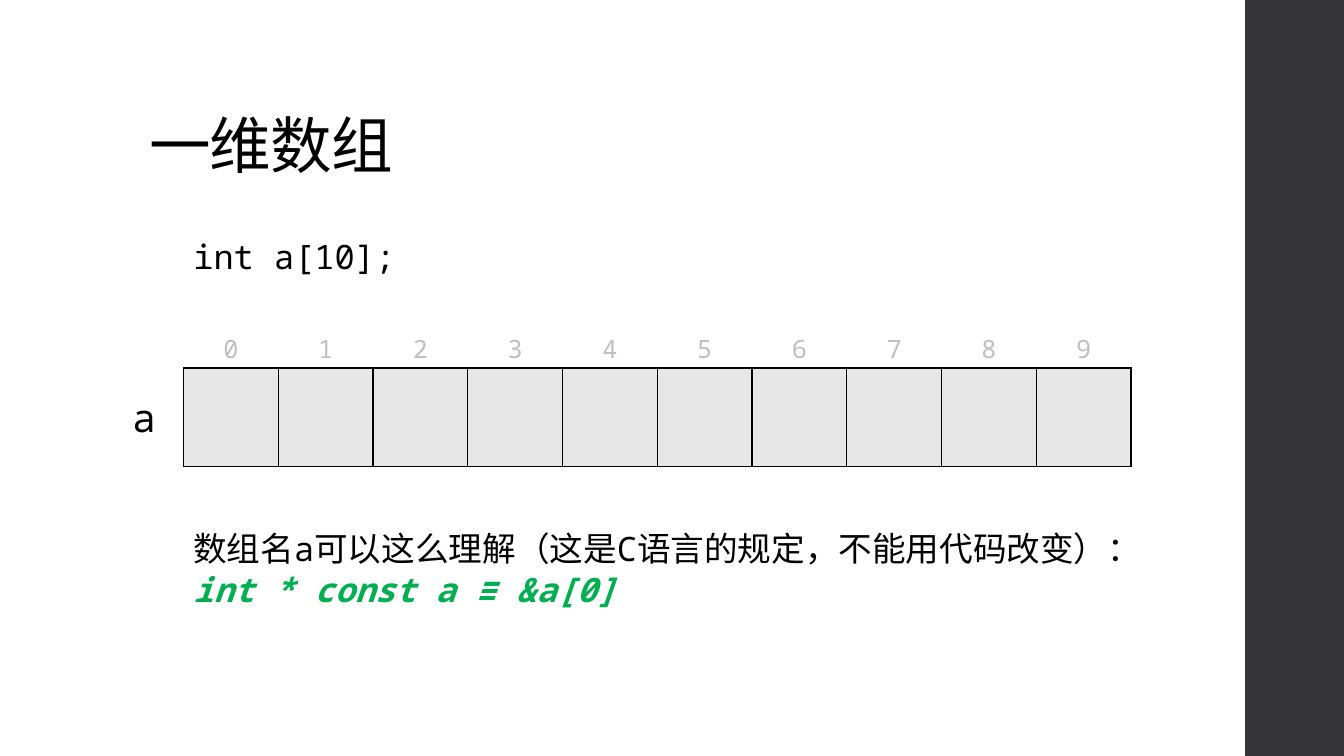
from lxml.etree import SubElement
from pptx import Presentation
from pptx.dml.color import RGBColor
from pptx.enum.shapes import MSO_SHAPE
from pptx.enum.text import MSO_ANCHOR, PP_ALIGN
from pptx.oxml.ns import qn
from pptx.util import Inches, Pt

BLACK = RGBColor(0x00, 0x00, 0x00)
GREEN = RGBColor(0x00, 0xB0, 0x50)
INDEX_GRAY = RGBColor(0xBF, 0xBF, 0xBF)
CELL_GRAY = RGBColor(0xE7, 0xE7, 0xE7)
BAND_GRAY = RGBColor(0x35, 0x35, 0x37)
TITLE_FONT = "TeX Gyre Schola"
CODE_FONT = "Noto Sans Mono"
LENGTH = 10


def format_run(r, size, color=BLACK, font=CODE_FONT):
    """Set size, colour and the Latin and East Asian typeface of a run."""
    r.font.size = Pt(size)
    r.font.color.rgb = color
    r.font.name = font
    SubElement(r.font._element, qn("a:ea"), typeface=font)


def add_text(s, box, lines, size, font=CODE_FONT, align=PP_ALIGN.LEFT):
    """Add a wrapped text box with one paragraph per line; return its frame."""
    tf = s.shapes.add_textbox(*map(Inches, box)).text_frame
    tf.word_wrap = True
    tf.text = "\n".join(lines)
    for p in tf.paragraphs:
        p.alignment = align
        format_run(p.runs[0], size, font=font)
    return tf


def set_borders(cell, color=None):
    """Give a cell 1 pt borders of one colour, or none."""
    tcPr = cell._tc.get_or_add_tcPr()
    for side in ("lnL", "lnR", "lnT", "lnB"):
        ln = SubElement(tcPr, qn(f"a:{side}"), w=str(Pt(1)))
        if color is None:
            SubElement(ln, qn("a:noFill"))
        else:
            fill = SubElement(ln, qn("a:solidFill"))
            SubElement(fill, qn("a:srgbClr"), val=str(color))


def add_row(s, box, fill=None, border=None):
    """Add a one-row table of LENGTH equal columns; return its cells."""
    table = s.shapes.add_table(1, LENGTH, *map(Inches, box)).table
    table.first_row = table.horz_banding = False
    cells = list(table.iter_cells())
    for cell in cells:
        set_borders(cell, border)
        if fill is None:
            cell.fill.background()
        else:
            cell.fill.solid()
            cell.fill.fore_color.rgb = fill
    return cells


def add_side_band(s, box):
    """Add the dark band at the right edge."""
    sp = s.shapes.add_shape(MSO_SHAPE.RECTANGLE, *map(Inches, box))
    sp.shadow.inherit = False
    sp.fill.solid()
    sp.fill.fore_color.rgb = BAND_GRAY
    sp.line.fill.background()


def add_title(s, box, title):
    """Add the bottom-anchored slide title."""
    tf = add_text(s, box, [title], 44, TITLE_FONT)
    tf.vertical_anchor = MSO_ANCHOR.BOTTOM
    p = tf.paragraphs[0]
    p.line_spacing = 0.9
    p.runs[0].font._element.set("spc", "-50")


def add_array(s, box, name):
    """Draw the array cells with indices above and the name at the left."""
    left, top, width, height = box
    add_row(s, box, CELL_GRAY, BLACK)
    add_text(s, (left - 0.68, top + 0.2, 0.58, 0.57), [name], 28,
             align=PP_ALIGN.CENTER)
    for i, cell in enumerate(add_row(s, (left, top - 0.41, width, 0.44))):
        cell.text = str(i)
        p = cell.text_frame.paragraphs[0]
        p.alignment = PP_ALIGN.CENTER
        format_run(p.runs[0], 18, INDEX_GRAY)


def add_explanation(s, box, sentence, code):
    """Add the explanation followed by its highlighted code line."""
    tf = add_text(s, box, [sentence, code], 24)
    font = tf.paragraphs[1].runs[0].font
    font.color.rgb = GREEN
    font.bold = font.italic = True


def build_slide(prs):
    """Build the slide about one-dimensional arrays."""
    s = prs.slides.add_slide(prs.slide_layouts[6])
    add_side_band(s, (12.35, 0, 1, 7.5))
    add_title(s, (1.38, 0.4, 10.6, 1.45), "一维数组")
    add_text(s, (1.82, 2.29, 3.73, 0.5), ["int a[10];"], 24)
    add_array(s, (1.82, 3.65, 9.4, 0.98), "a")
    add_explanation(s, (1.82, 5.19, 9.4, 0.91),
                    "数组名a可以这么理解（这是C语言的规定，不能用代码改变）：",
                    "int * const a ≡ &a[0]")


prs = Presentation()
prs.slide_width = Inches(13.33)
prs.slide_height = Inches(7.5)
build_slide(prs)
prs.save("out.pptx")
